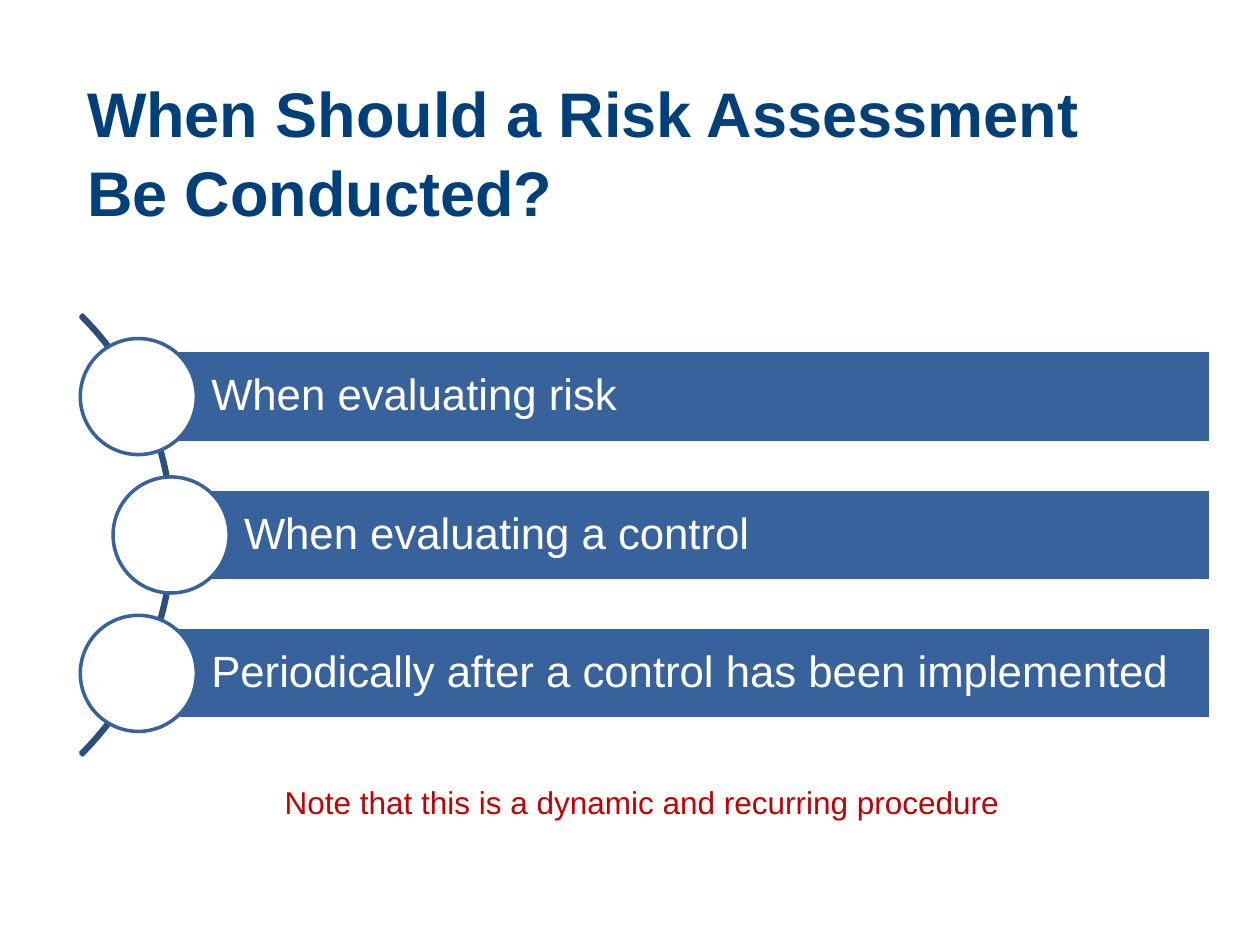
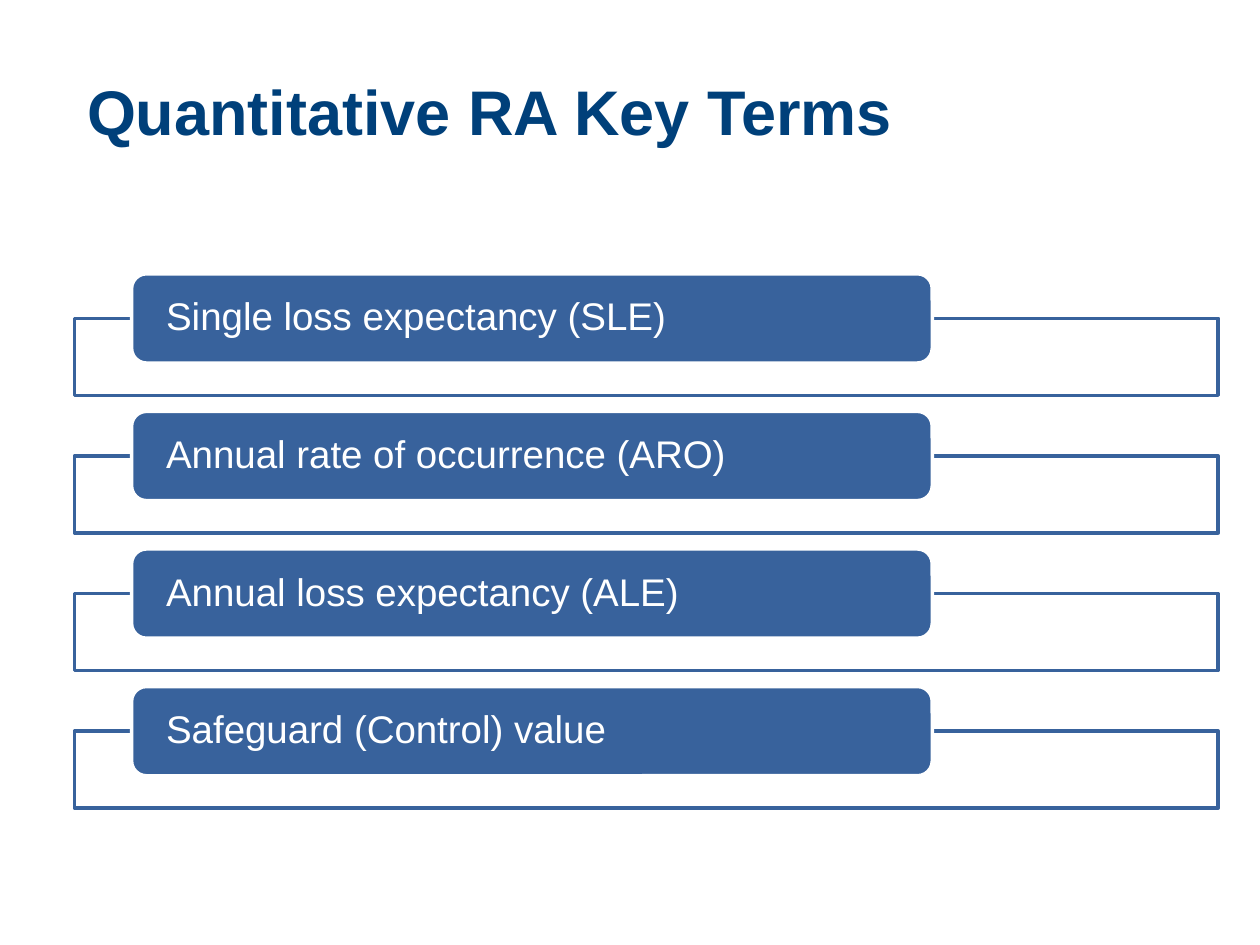
from math import sqrt

from pptx import Presentation
from pptx.dml.color import RGBColor
from pptx.enum.shapes import MSO_SHAPE
from pptx.enum.text import MSO_ANCHOR, MSO_AUTO_SIZE, PP_ALIGN
from pptx.util import Cm, Pt

COLORS = {
    "title": "00407A",
    "bar": "38629C",
    "arc": "2D4E7D",
    "white": "FFFFFF",
    "note": "C00000",
}
FONT = "Arial"
TITLE_ONLY = 5


def rgb(name):
    return RGBColor.from_string(COLORS[name])


def set_all(target, values):
    for name, value in values.items():
        setattr(target, name, value)


def write(frame, text, size, color, bold=False, spacing=1.0, **frame_format):
    """Fill a text frame with one left-aligned paragraph."""
    frame.text = text
    set_all(frame, frame_format)
    paragraph = frame.paragraphs[0]
    set_all(paragraph, {"alignment": PP_ALIGN.LEFT, "line_spacing": spacing})
    for run in paragraph.runs:
        set_all(run.font, {"name": FONT, "size": Pt(size), "bold": bold})
        run.font.color.rgb = rgb(color)


def add_shape(slide, kind, box, fill, line):
    """Add a preset shape; box is left, top, width, height in cm."""
    shape = slide.shapes.add_shape(kind, *map(Cm, box))
    shape.shadow.inherit = False
    if fill:
        shape.fill.solid()
        shape.fill.fore_color.rgb = rgb(fill)
    else:
        shape.fill.background()
    shape.line.color.rgb = rgb(line)
    shape.line.width = Pt(2)
    return shape


def add_label_bar(slide, kind, box, text, size, inset):
    bar = add_shape(slide, kind, box, "bar", "white")
    write(bar.text_frame, text, size, "white", spacing=0.9,
          word_wrap=True, vertical_anchor=MSO_ANCHOR.MIDDLE,
          margin_left=Cm(inset), margin_right=Cm(0.18),
          margin_top=Cm(0.1), margin_bottom=Cm(0.1))


def add_titled_slide(prs, text, box):
    slide = prs.slides.add_slide(prs.slide_layouts[TITLE_ONLY])
    title = slide.shapes.title
    set_all(title, dict(zip(("left", "top", "width", "height"), map(Cm, box))))
    write(title.text_frame, text, 36, "title", bold=True, spacing=1.04,
          word_wrap=True, auto_size=MSO_AUTO_SIZE.NONE,
          vertical_anchor=MSO_ANCHOR.TOP, margin_top=Cm(0.18))
    return slide


def add_curved_list(slide, box, items):
    """Bars whose round markers sit on an arc at the left of the box."""
    left, top, width, height = box
    pitch, bar_height, marker = 2.79, 1.85, 2.34
    radius, arc_rim = 6.22, 0.05
    arc_x, middle = left - 4.37, top + height / 2

    # Arc behind the markers
    outer = radius + arc_rim
    arc = add_shape(slide, MSO_SHAPE.BLOCK_ARC,
                    (arc_x - outer, middle - outer, 2 * outer, 2 * outer),
                    None, "arc")
    for index, value in enumerate((189, 27, 0.0045)):
        arc.adjustments[index] = value

    # Bars and markers
    for index, item in enumerate(items):
        offset = (index - (len(items) - 1) / 2) * pitch
        x, y = arc_x + sqrt(radius ** 2 - offset ** 2), middle + offset
        add_label_bar(slide, MSO_SHAPE.RECTANGLE,
                      (x, y - bar_height / 2, left + width - x, bar_height),
                      item, 25, 1.47)
        add_shape(slide, MSO_SHAPE.OVAL,
                  (x - marker / 2, y - marker / 2, marker, marker),
                  "white", "bar")


def add_note(slide, box, text):
    note = slide.shapes.add_textbox(*map(Cm, box))
    write(note.text_frame, text, 18, "note", word_wrap=False,
          auto_size=MSO_AUTO_SIZE.SHAPE_TO_FIT_TEXT)


def add_term_list(slide, box, terms):
    """Outlined frames, each with a rounded label over its top edge."""
    left, top, width, height = box
    label_height, frame_drop, frame_height = 1.8, 0.9, 1.55
    pitch = (height - frame_drop - frame_height) / (len(terms) - 1)
    for index, term in enumerate(terms):
        y = top + index * pitch
        add_shape(slide, MSO_SHAPE.RECTANGLE,
                  (left, y + frame_drop, width, frame_height), "white", "bar")
        add_label_bar(slide, MSO_SHAPE.ROUNDED_RECTANGLE,
                      (left + 0.05 * width, y, 0.7 * width, label_height),
                      term, 22, 0.61)


def main():
    prs = Presentation()
    set_all(prs, {"slide_width": Cm(25.4), "slide_height": Cm(19.05)})

    # When to assess
    timing = add_titled_slide(
        prs, "When Should a Risk Assessment \vBe Conducted?",
        (1.5, 1.27, 23.06, 3.18))
    add_curved_list(timing, (1.6, 6.35, 22.81, 8.87), [
        "When evaluating risk",
        "When evaluating a control",
        "Periodically after a control has been implemented",
    ])
    add_note(timing, (5.49, 15.67, 15.04, 1.02),
             "Note that this is a dynamic and recurring procedure")

    # Key terms
    key_terms = add_titled_slide(prs, "Quantitative RA Key Terms",
                                 (1.5, 1.22, 23.06, 3.43))
    add_term_list(key_terms, (1.5, 5.52, 23.06, 10.77), [
        "Single loss expectancy (SLE)",
        "Annual rate of occurrence (ARO)",
        "Annual loss expectancy (ALE)",
        "Safeguard (Control) value",
    ])

    prs.save("out.pptx")


if __name__ == "__main__":
    main()
